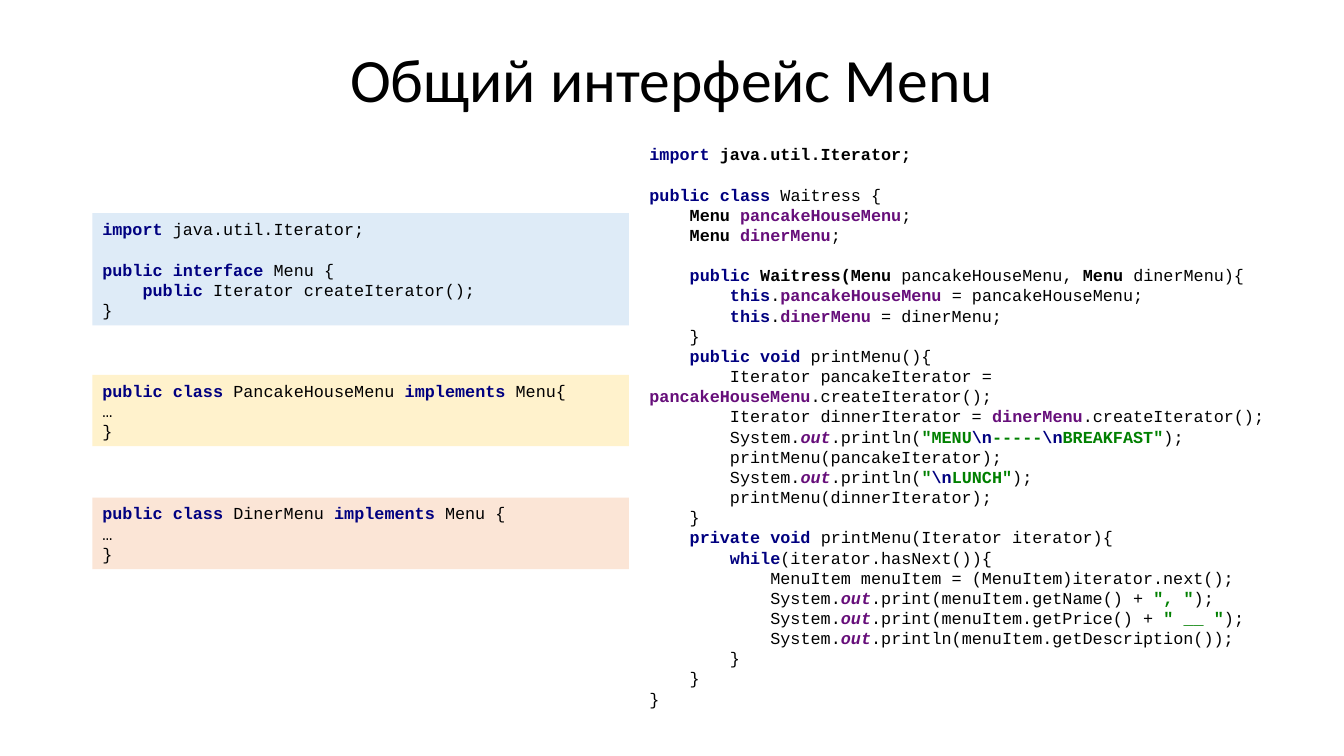
import pptx
import pptx.dml.color
import pptx.enum.shapes
import pptx.enum.text
import pptx.util

EMU_PER_PX = 9525
CODE_SIZE = 12
CHARACTER_WIDTH = 7.2
LINE_HEIGHT = 14.4

# Code markup: «style text» where style is a key of STYLES; all else is plain.
# Each style is colour, bold, italic.
STYLES = {
    "plain": ("000000", False, False),
    "bold": ("000000", True, False),
    "key": ("000080", True, False),
    "field": ("660E7A", True, False),
    "static": ("660E7A", True, True),
    "string": ("008000", True, False),
}

MENU_CODE = """«key import »java.util.Iterator;

«key public interface »Menu {
    «key public »Iterator createIterator();
}"""

PANCAKE_CODE = """«key public class »PancakeHouseMenu «key implements »Menu{
…
}"""

DINER_CODE = """«key public class »DinerMenu «key implements »Menu {
…
}"""

WAITRESS_FIELDS = """«key import »«bold java.util.Iterator;»

«key public class »Waitress {
    «bold Menu »«field pancakeHouseMenu»;
    «bold Menu »«field dinerMenu»;
"""

WAITRESS_CONSTRUCTOR = """\
    «key public »«bold Waitress(Menu »pancakeHouseMenu, «bold Menu »dinerMenu){
        «key this».«field pancakeHouseMenu »= pancakeHouseMenu;
        «key this».«field dinerMenu »= dinerMenu;
    }"""

WAITRESS_PRINT_MENUS = """\
    «key public void »printMenu(){
        Iterator pancakeIterator = «field pancakeHouseMenu».createIterator();
        Iterator dinnerIterator = «field dinerMenu».createIterator();
        System.«static out».println(«string "MENU»«key \\n»«string -----»«key \\n»«string BREAKFAST"»);
        printMenu(pancakeIterator);
        System.«static out».println(«string "»«key \\n»«string LUNCH"»);
        printMenu(dinnerIterator);
    }"""

WAITRESS_PRINT_ITEMS = """\
    «key private void »printMenu(Iterator iterator){
        «key while»(iterator.hasNext()){
            MenuItem menuItem = (MenuItem)iterator.next();
            System.«static out».print(menuItem.getName() + «string ", "»);
            System.«static out».print(menuItem.getPrice() + «string " __ "»);
            System.«static out».println(menuItem.getDescription());
        }
    }
}"""

WAITRESS_CODE = "\n".join(
    [WAITRESS_FIELDS, WAITRESS_CONSTRUCTOR, WAITRESS_PRINT_MENUS, WAITRESS_PRINT_ITEMS]
)


def px(length):
    return pptx.util.Emu(length * EMU_PER_PX)


def color(hex_string):
    return pptx.dml.color.RGBColor.from_string(hex_string)


def add_title(slide, box, text):
    shape = slide.shapes.add_textbox(*map(px, box))
    frame = shape.text_frame
    frame.word_wrap = True
    frame.vertical_anchor = pptx.enum.text.MSO_ANCHOR.MIDDLE
    paragraph = frame.paragraphs[0]
    paragraph.text = text
    paragraph.alignment = pptx.enum.text.PP_ALIGN.CENTER
    paragraph.line_spacing = 0.9
    paragraph.font.name = "Calibri"
    paragraph.font.size = pptx.util.Pt(44)
    paragraph.font.color.rgb = color("000000")


def split_styles(line):
    """Yield (style, text) for each piece of a marked-up line."""
    plain, *marked_pieces = line.split("«")
    yield "plain", plain
    for piece in marked_pieces:
        marked, _, plain = piece.partition("»")
        style, _, text = marked.partition(" ")
        yield style, text
        yield "plain", plain


def add_code_line(paragraph, line, blank_lines):
    code = line.lstrip(" ")
    # Only the first line is indented, so wrapped text returns to the margin.
    indent = pptx.util.Pt((len(line) - len(code)) * CHARACTER_WIDTH)
    properties = paragraph._p.get_or_add_pPr()
    properties.set("marL", "0")
    properties.set("indent", str(int(indent)))
    paragraph.alignment = pptx.enum.text.PP_ALIGN.LEFT
    paragraph.space_before = pptx.util.Pt(blank_lines * LINE_HEIGHT)
    paragraph.font.name = "Courier New"
    paragraph.font.size = pptx.util.Pt(CODE_SIZE)
    for style, text in split_styles(code):
        if text:
            run = paragraph.add_run()
            run.text = text
            hex_string, run.font.bold, run.font.italic = STYLES[style]
            run.font.color.rgb = color(hex_string)


def add_code_panel(slide, box, fill, code):
    shape = slide.shapes.add_shape(pptx.enum.shapes.MSO_SHAPE.RECTANGLE, *map(px, box))
    shape.shadow.inherit = False
    shape.fill.solid()
    shape.fill.fore_color.rgb = color(fill)
    shape.line.fill.background()
    frame = shape.text_frame
    frame.word_wrap = True
    frame.vertical_anchor = pptx.enum.text.MSO_ANCHOR.MIDDLE
    paragraph = frame.paragraphs[0]
    blank_lines = 0
    for number, line in enumerate(code.split("\n")):
        if not line:
            blank_lines += 1
            continue
        if number:
            paragraph = frame.add_paragraph()
        add_code_line(paragraph, line, blank_lines)
        blank_lines = 0


def add_type_panels(slide, left, width):
    panels = [
        (203, 107, "DEEBF7", MENU_CODE),
        (357, 68, "FFF2CC", PANCAKE_CODE),
        (474, 68, "FBE5D6", DINER_CODE),
    ]
    for top, height, fill, code in panels:
        add_code_panel(slide, (left, top, width, height), fill, code)


def main():
    presentation = pptx.Presentation()
    presentation.slide_width = px(1280)
    presentation.slide_height = px(720)
    slide = presentation.slides.add_slide(presentation.slide_layouts[6])
    add_title(slide, (88, 38, 1104, 82), "Общий интерфейс Menu")
    add_type_panels(slide, left=88, width=511)
    add_code_panel(slide, (609, 120, 640, 572), "FFFFFF", WAITRESS_CODE)
    presentation.save("out.pptx")


if __name__ == "__main__":
    main()
